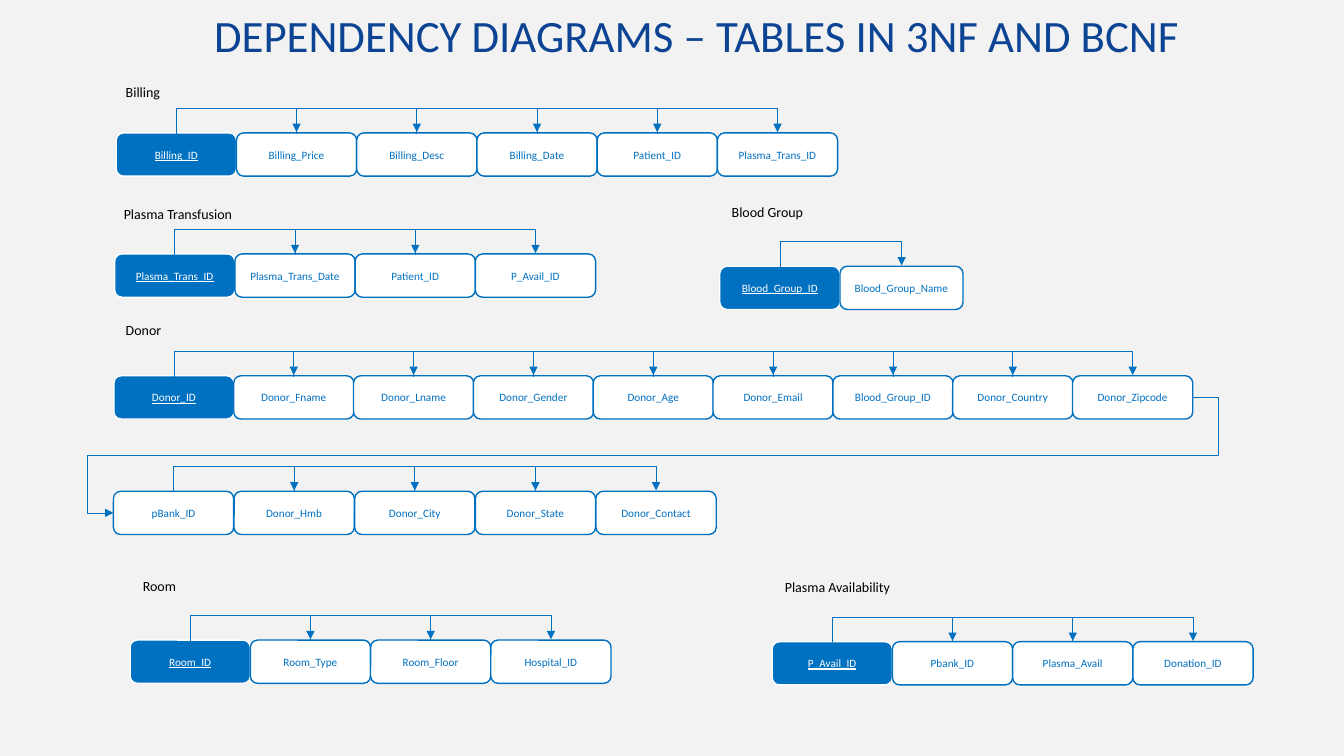
from lxml import etree
from pptx import Presentation
from pptx.dml.color import RGBColor
from pptx.enum.shapes import MSO_CONNECTOR, MSO_SHAPE
from pptx.enum.text import MSO_ANCHOR, PP_ALIGN
from pptx.oxml.ns import qn
from pptx.util import Cm, Pt

ELBOW = MSO_CONNECTOR.ELBOW
ROUNDED = MSO_SHAPE.ROUNDED_RECTANGLE
MIDDLE, TOP = MSO_ANCHOR.MIDDLE, MSO_ANCHOR.TOP
CENTER, LEFT = PP_ALIGN.CENTER, PP_ALIGN.LEFT

BLUE = RGBColor(0x00, 0x70, 0xC0)
NAVY = RGBColor(0x0C, 0x44, 0x93)
WHITE = RGBColor(0xFF, 0xFF, 0xFF)
BLACK = RGBColor(0x00, 0x00, 0x00)
PALE_GREY = RGBColor(0xF2, 0xF2, 0xF2)

# All lengths below are centimetres.
FIELD_W, FIELD_H = 3.03, 1.09
RAIL_RISE = 0.64
ARROW_STEP = 0.04
WRAP_MARGIN = 0.64

# Name, label position, first field position, pitch, last field width, fields
TABLES = [
    ("Billing", (2.92, 1.98), (2.93, 3.35), 3.03, FIELD_W,
     ["Billing_ID", "Billing_Price", "Billing_Desc", "Billing_Date",
      "Patient_ID", "Plasma_Trans_ID"]),
    ("Plasma Transfusion", (2.87, 5.05), (2.89, 6.4), 3.03, FIELD_W,
     ["Plasma_Trans_ID", "Plasma_Trans_Date", "Patient_ID", "P_Avail_ID"]),
    ("Blood Group", (18.19, 5.0), (18.14, 6.71), 3.03, 3.1,
     ["Blood_Group_ID", "Blood_Group_Name"]),
    ("Donor", (2.92, 7.98), (2.87, 9.47), 3.02, FIELD_W,
     ["Donor_ID", "Donor_Fname", "Donor_Lname", "Donor_Gender", "Donor_Age",
      "Donor_Email", "Blood_Group_ID", "Donor_Country", "Donor_Zipcode"]),
    ("Room", (3.35, 14.43), (3.28, 16.13), 3.03, FIELD_W,
     ["Room_ID", "Room_Type", "Room_Floor", "Hospital_ID"]),
    ("Plasma Availability", (19.53, 14.45), (19.46, 16.17), 3.03, FIELD_W,
     ["P_Avail_ID", "Pbank_ID", "Plasma_Avail", "Donation_ID"]),
]
DONOR_CONTINUED = ["pBank_ID", "Donor_Hmb", "Donor_City", "Donor_State",
                   "Donor_Contact"]
DONOR_CONTINUED_AT = (2.86, 12.38)


def write(shape, text, size, color, align=LEFT, anchor=TOP, underline=None,
          line_spacing=None):
    frame = shape.text_frame
    frame.word_wrap = True
    frame.vertical_anchor = anchor
    paragraph = frame.paragraphs[0]
    paragraph.alignment = align
    paragraph.line_spacing = line_spacing
    run = paragraph.add_run()
    run.text = text
    run.font.name = "Calibri"
    run.font.size = Pt(size)
    run.font.color.rgb = color
    run.font.underline = underline


def add_label(slide, text, left, top, width, height, **text_format):
    box = slide.shapes.add_textbox(Cm(left), Cm(top), Cm(width), Cm(height))
    write(box, text, **text_format)


def add_field(slide, name, left, top, width, is_key):
    field = slide.shapes.add_shape(ROUNDED, Cm(left), Cm(top), Cm(width), Cm(FIELD_H))
    field.shadow.inherit = False
    field.fill.solid()
    field.fill.fore_color.rgb = BLUE if is_key else WHITE
    field.line.color.rgb = WHITE if is_key else BLUE
    field.line.width = Pt(1)
    field.text_frame.margin_left = field.text_frame.margin_right = Cm(0.1)
    write(field, name, size=8, color=WHITE if is_key else BLUE, align=CENTER,
          anchor=MIDDLE, underline=is_key or None)
    return field


def add_elbow(slide, start, end, bends):
    """Draw an elbow arrow; bends are fractions of the way from start to end."""
    elbow = slide.shapes.add_connector(
        ELBOW, Cm(start[0]), Cm(start[1]), Cm(end[0]), Cm(end[1]))
    elbow.line.color.rgb = BLUE
    elbow.line.width = Pt(0.5)
    properties = elbow._element.spPr
    etree.SubElement(properties.find(qn("a:ln")), qn("a:tailEnd"), type="triangle")
    etree.SubElement(properties, qn("a:effectLst"))
    geometry = properties.find(qn("a:prstGeom"))
    geometry.set("prst", f"bentConnector{len(bends) + 2}")
    guides = geometry.find(qn("a:avLst"))
    for number, bend in enumerate(bends, 1):
        etree.SubElement(guides, qn("a:gd"), name=f"adj{number}",
                         fmla=f"val {round(bend * 100000)}")
    return elbow


def add_dependency(slide, from_x, to_x, top):
    """Arrow that rises from one field, runs right and drops on the next."""
    middle, half_span = (from_x + to_x) / 2, (to_x - from_x) / 2
    half_step = ARROW_STEP / 2
    # Laid out upright, then turned a quarter so that it leaves vertically.
    arrow = add_elbow(slide, (middle + half_step, top + half_span),
                      (middle - half_step, top - half_span),
                      [RAIL_RISE / ARROW_STEP])
    arrow._element.spPr.find(qn("a:xfrm")).set("rot", "5400000")


def add_field_row(slide, fields, left, top, pitch, last_width=FIELD_W, has_key=True):
    centers = []
    for index, name in enumerate(fields):
        width = last_width if index == len(fields) - 1 else FIELD_W
        x = left + index * pitch
        add_field(slide, name, x, top, width, has_key and index == 0)
        centers.append(x + width / 2)
    for from_x, to_x in zip(centers, centers[1:]):
        add_dependency(slide, from_x, to_x, top)


def add_table_diagram(slide, name, label_at, fields_at, pitch, last_width, fields):
    add_label(slide, name, *label_at, 4.1, 0.69, size=10, color=BLACK)
    add_field_row(slide, fields, *fields_at, pitch, last_width)


def add_donor_continuation(slide, donor_at, donor_pitch, donor_count):
    left, top = DONOR_CONTINUED_AT
    add_field_row(slide, DONOR_CONTINUED, left, top, 3.04, has_key=False)
    row_end = donor_at[0] + (donor_count - 1) * donor_pitch + FIELD_W
    overshoot = WRAP_MARGIN / (row_end - left)
    add_elbow(slide, (row_end, donor_at[1] + FIELD_H / 2),
              (left, top + FIELD_H / 2), [-overshoot, 0.5, 1 + overshoot])


def main():
    deck = Presentation()
    deck.slide_width, deck.slide_height = Cm(33.87), Cm(19.05)
    slide = deck.slides.add_slide(deck.slide_layouts[6])
    slide.background.fill.solid()
    slide.background.fill.fore_color.rgb = PALE_GREY
    for name, label_at, fields_at, pitch, last_width, fields in TABLES:
        add_table_diagram(slide, name, label_at, fields_at, pitch, last_width, fields)
        if name == "Donor":
            add_donor_continuation(slide, fields_at, pitch, len(fields))
    add_label(slide, "DEPENDENCY DIAGRAMS – TABLES IN 3NF AND BCNF",
              1.83, 0.18, 31.47, 1.57, size=32, color=NAVY, align=CENTER,
              anchor=MIDDLE, line_spacing=0.9)
    deck.save("out.pptx")


if __name__ == "__main__":
    main()
